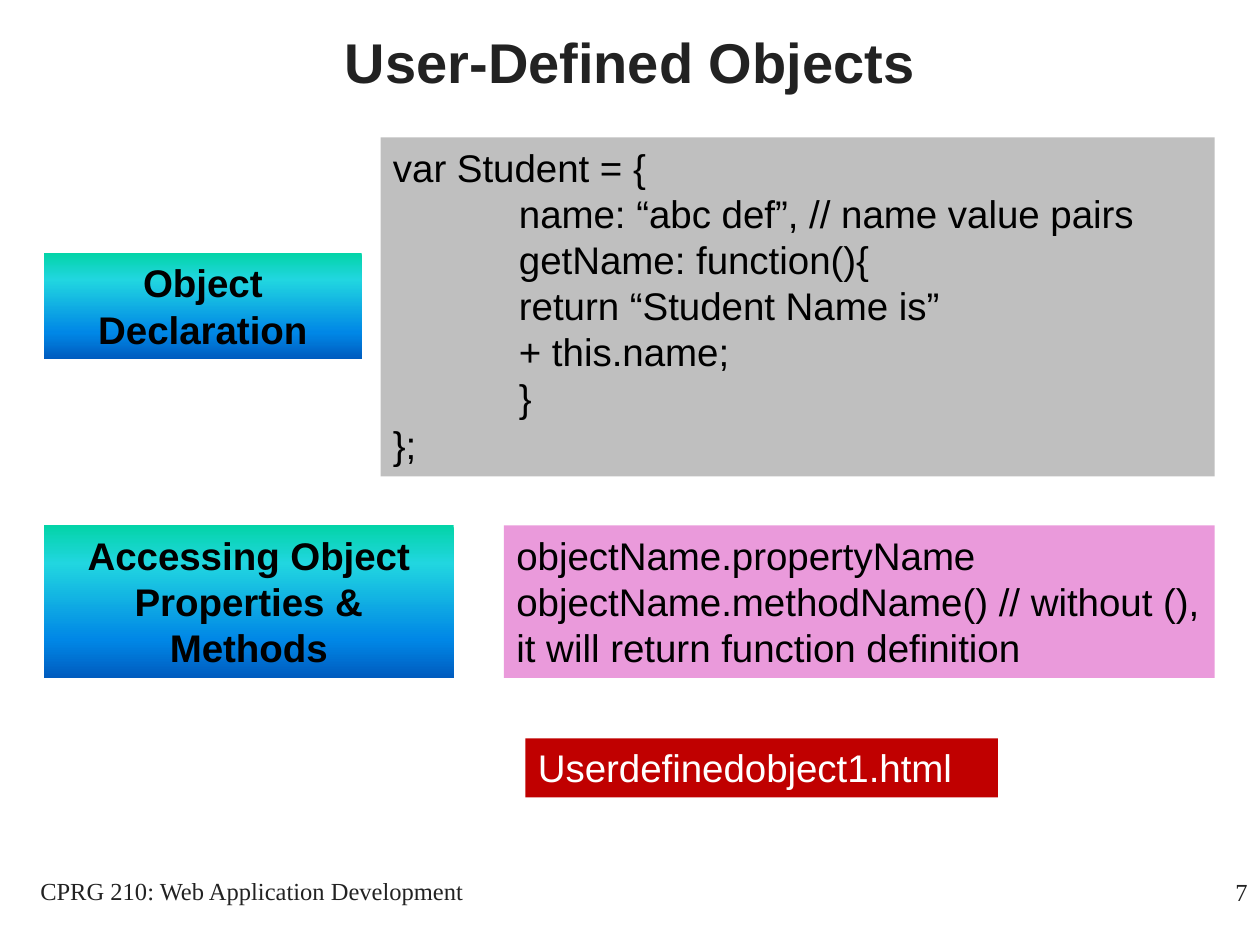
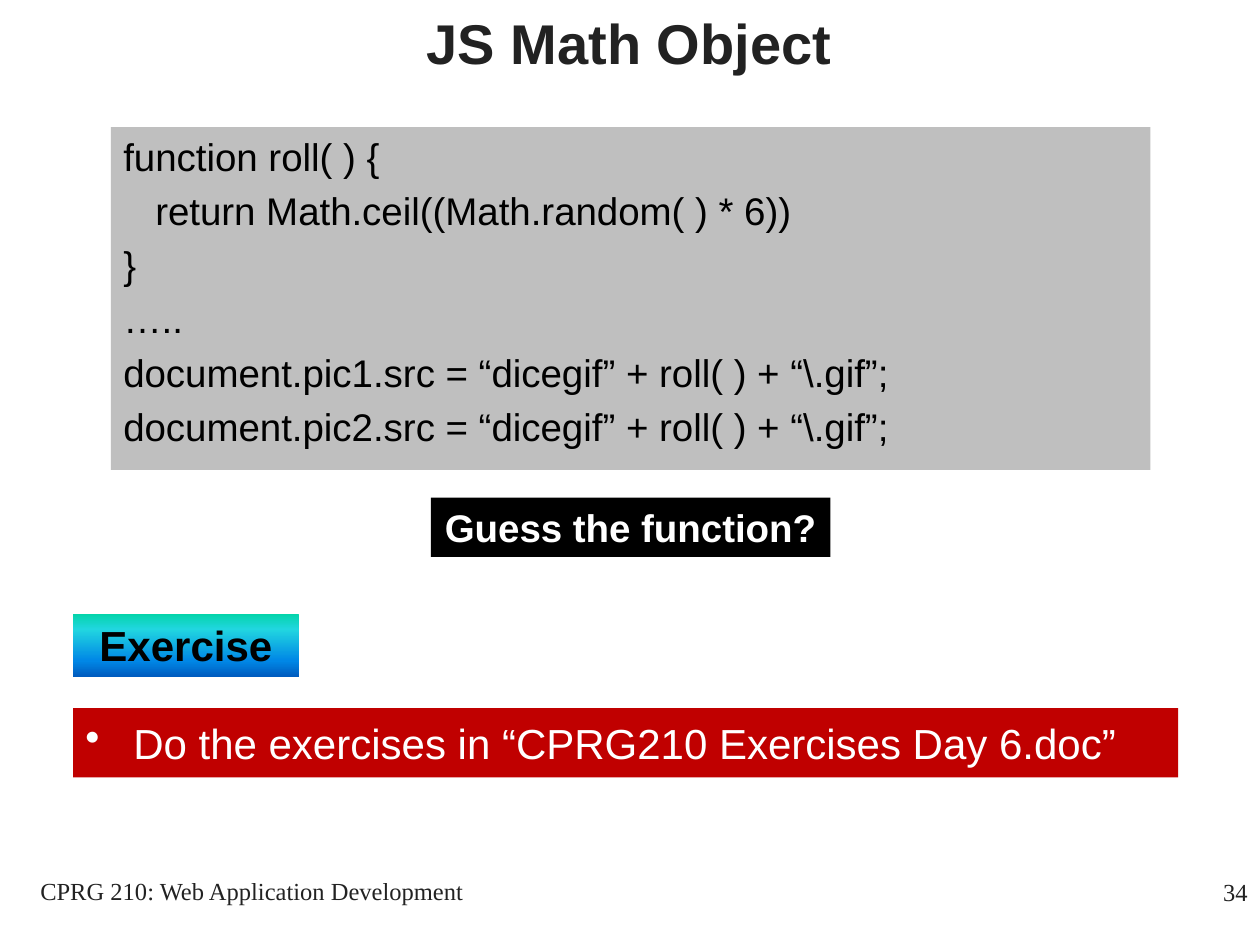
"""Build two course slides on JavaScript objects."""
import pptx
import pptx.util
import pptx.dml.color
import pptx.enum.shapes
import pptx.enum.text
import pptx.oxml
import pptx.oxml.ns

Inches = pptx.util.Inches
ALIGN = pptx.enum.text.PP_ALIGN
ANCHOR = pptx.enum.text.MSO_ANCHOR

INK, BLACK, WHITE = "222222", "000000", "FFFFFF"
LABEL_STOPS = [(0, "03D4A8"), (25, "21D6E0"), (75, "0087E6"), (100, "005CBF")]
FOOTER = "CPRG 210: Web Application Development"

STYLES = {
    "title": {"color": INK, "align": ALIGN.CENTER, "anchor": ANCHOR.MIDDLE,
              "font": {"size": 32, "bold": True}},
    "footer": {"color": INK, "align": ALIGN.CENTER,
               "font": {"size": 14, "name": "Times New Roman"}},
    "number": {"color": INK, "align": ALIGN.RIGHT,
               "font": {"size": 14, "name": "Times New Roman"}},
    "label": {"fill": LABEL_STOPS, "align": ALIGN.CENTER, "font": {"bold": True}},
    "big label": {"fill": LABEL_STOPS, "align": ALIGN.CENTER,
                  "font": {"size": 24, "bold": True}},
    "code": {"fill": "BFBFBF", "tab": 1},
    "spaced code": {"fill": "BFBFBF", "gap": 4.4, "indent": 0.25},
    "access": {"fill": "EA9ADB"},
    "file": {"fill": "C00000", "color": WHITE},
    "question": {"fill": BLACK, "color": WHITE, "align": ALIGN.CENTER,
                 "font": {"bold": True}},
    "task": {"fill": "C00000", "color": WHITE, "anchor": ANCHOR.MIDDLE,
             "indent": 0.38, "bullet": "•", "font": {"size": 24}},
}

PAGES = [
    {"number": "7", "title": "User-Defined Objects", "title_at": (0, -0.14, 10, 1.25),
     "boxes": [
         ("label", (0.35, 2.01, 2.52, 0.84), ["Object Declaration"]),
         ("code", (3.02, 1.09, 6.62, 2.69), [
             "var Student = {",
             "\tname: “abc def”, // name value pairs",
             "\tgetName: function(){",
             "\treturn “Student Name is”",
             "\t+ this.name;",
             "\t}",
             "};"]),
         ("access", (4, 4.17, 5.64, 1.21), [
             "objectName.propertyName",
             "objectName.methodName() // without (), it will return function definition"]),
         ("label", (0.35, 4.17, 3.25, 1.21), ["Accessing Object Properties & Methods"]),
         ("file", (4.17, 5.86, 3.75, 0.47), ["Userdefinedobject1.html"])]},
    {"number": "34", "title": "JS Math Object", "title_at": (0.58, -0.29, 8.83, 1.25),
     "boxes": [
         ("big label", (0.58, 4.87, 1.79, 0.5), ["Exercise"]),
         ("task", (0.58, 5.62, 8.77, 0.55),
          ["Do the exercises in “CPRG210 Exercises Day 6.doc”"]),
         ("spaced code", (0.88, 1.01, 8.25, 2.72), [
             "function roll( ) {",
             "   return Math.ceil((Math.random( ) * 6))",
             "}",
             "…..",
             "document.pic1.src = “dicegif” + roll( ) + “\\.gif”;",
             "document.pic2.src = “dicegif” + roll( ) + “\\.gif”;"]),
         ("question", (3.42, 3.95, 3.17, 0.47), ["Guess the function?"])]},
]


def rgb(value):
    return pptx.dml.color.RGBColor.from_string(value)


def assign(target, values):
    for name, value in values.items():
        setattr(target, name, value)


def add_element(parent, tag, **attributes):
    child = parent.makeelement(pptx.oxml.ns.qn("a:" + tag), {})
    for name, value in attributes.items():
        child.set(name, str(value))
    parent.append(child)
    return child


def paint(box, fill):
    box.shadow.inherit = False
    box.line.fill.background()
    if isinstance(fill, str):
        box.fill.solid()
        box.fill.fore_color.rgb = rgb(fill)
        return
    box.fill.gradient()
    gradient = box.fill._xPr.find(pptx.oxml.ns.qn("a:gradFill"))
    for child in list(gradient):
        gradient.remove(child)
    stops = add_element(gradient, "gsLst")
    for percent, color in fill:
        stop = add_element(stops, "gs", pos=percent * 1000)
        add_element(stop, "srgbClr", val=color)
    add_element(gradient, "lin", ang=90 * 60000, scaled=0)


def write(box, lines, style):
    frame = box.text_frame
    assign(frame, {"word_wrap": True, "auto_size": pptx.enum.text.MSO_AUTO_SIZE.NONE,
                   "vertical_anchor": style.get("anchor", ANCHOR.TOP)})
    font = {"name": "Arial", "size": 22, "bold": False, **style.get("font", {})}
    font["size"] = pptx.util.Pt(font["size"])
    for index, line in enumerate(lines):
        para = frame.add_paragraph() if index else frame.paragraphs[0]
        para.alignment = style.get("align", ALIGN.LEFT)
        if index and "gap" in style:
            para.space_before = pptx.util.Pt(style["gap"])
        properties = para._p.get_or_add_pPr()
        if "indent" in style:
            properties.set("marL", str(Inches(style["indent"])))
            properties.set("indent", str(-Inches(style["indent"])))
        if "bullet" in style:
            add_element(properties, "buChar", char=style["bullet"])
        if "tab" in style:
            tabs = add_element(properties, "tabLst")
            add_element(tabs, "tab", pos=Inches(style["tab"]), algn="l")
        span = para.add_run()
        span.text = line
        assign(span.font, font)
        span.font.color.rgb = rgb(style.get("color", BLACK))


def add_box(page, kind, place, lines):
    style = STYLES[kind]
    place = [Inches(length) for length in place]
    if kind == "title":
        box = page.shapes.title
        assign(box, dict(zip(("left", "top", "width", "height"), place)))
    elif "fill" in style:
        box = page.shapes.add_shape(pptx.enum.shapes.MSO_SHAPE.RECTANGLE, *place)
        paint(box, style["fill"])
    else:
        box = page.shapes.add_textbox(*place)
    write(box, lines, style)


def main():
    deck = pptx.Presentation()
    assign(deck, {"slide_width": Inches(10), "slide_height": Inches(7.5)})
    for content in PAGES:
        page = deck.slides.add_slide(deck.slide_layouts[5])
        add_box(page, "title", content["title_at"], [content["title"]])
        for kind, place, lines in content["boxes"]:
            add_box(page, kind, place, lines)
        add_box(page, "footer", (0, 6.9, 4, 0.5), [FOOTER])
        add_box(page, "number", (7.92, 6.91, 2.08, 0.5), [content["number"]])
    deck.save("out.pptx")


if __name__ == "__main__":
    main()
